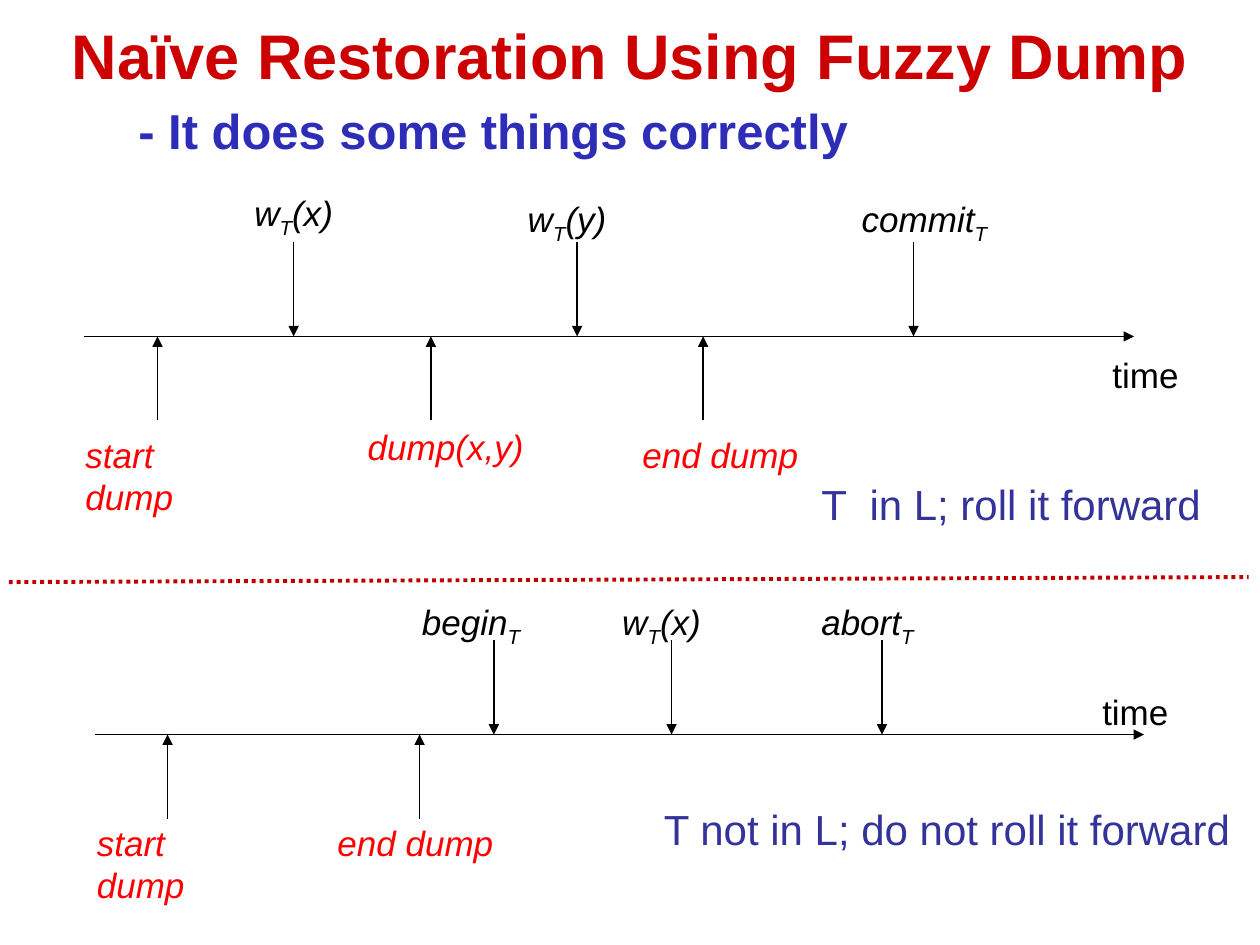
from collections import namedtuple

from lxml import etree
from pptx import Presentation
from pptx.dml.color import RGBColor
from pptx.enum import dml, shapes, text
from pptx.oxml.ns import qn
from pptx.util import Inches, Pt

BLACK = RGBColor(0x00, 0x00, 0x00)
RED = RGBColor(0xFF, 0x00, 0x00)
TITLE_RED = RGBColor(0xCC, 0x00, 0x00)
DIVIDER_RED = RGBColor(0xC0, 0x00, 0x00)
SUBTITLE_BLUE = RGBColor(0x2D, 0x2D, 0xB7)
NOTE_BLUE = RGBColor(0x33, 0x33, 0x99)

AXIS_DROP = 0.75

Box = namedtuple("Box", "left top width height")
Event = namedtuple("Event", "tick wording x y width")
Dump = namedtuple("Dump", "tick wording x y width margin", defaults=[0.1])
Label = namedtuple("Label", "wording x y width")


def add_text(slide, box, pieces, size, color, bold=False, italic=False, wrap=False):
    shape = slide.shapes.add_textbox(*(Inches(value) for value in box))
    frame = shape.text_frame
    frame.word_wrap = wrap
    paragraph = frame.paragraphs[0]
    for index, piece in enumerate(pieces):
        run = paragraph.add_run()
        run.text = piece
        if index == 1:
            run._r.get_or_add_rPr().set("baseline", "-25000")
    font = paragraph.font
    font.name = "Arial"
    font.size = Pt(size)
    font.color.rgb = color
    font.bold = bold
    font.italic = italic
    return frame


def add_line(slide, start, end, color=BLACK, width=0.75, arrow=True):
    points = [Inches(value) for value in (*start, *end)]
    connector = slide.shapes.add_connector(shapes.MSO_CONNECTOR.STRAIGHT, *points)
    connector.line.color.rgb = color
    connector.line.width = Pt(width)
    properties = connector._element.spPr
    if arrow:
        etree.SubElement(properties.find(qn("a:ln")), qn("a:tailEnd"), type="triangle")
    etree.SubElement(properties, qn("a:effectLst"))
    return connector


def add_heading(slide, box):
    title_box = Box(box.left, box.top, box.width, 0.87)
    frame = add_text(slide, title_box, ["Naïve Restoration Using Fuzzy Dump"],
                     36, TITLE_RED, bold=True, wrap=True)
    frame.vertical_anchor = text.MSO_ANCHOR.MIDDLE
    frame.paragraphs[0].alignment = text.PP_ALIGN.CENTER
    subtitle_box = Box(box.left + 1, box.top + 0.75, 5.84, 0.57)
    add_text(slide, subtitle_box, ["- It does some things correctly"],
             28, SUBTITLE_BLUE, bold=True)


def add_timeline(slide, box, events, dumps, time, note):
    axis = box.top + AXIS_DROP

    def label_box(label, height=0.43):
        return Box(box.left + label.x, box.top + label.y, label.width, height)

    add_line(slide, (box.left, axis), (box.left + box.width, axis))
    for event in events:
        x = box.left + event.tick
        add_line(slide, (x, box.top), (x, axis))
        add_text(slide, label_box(event), event.wording, 20, BLACK, italic=True)
    for dump in dumps:
        x = box.left + dump.tick
        add_line(slide, (x, box.top + box.height), (x, axis))
        frame = add_text(slide, label_box(dump), [dump.wording], 20, RED,
                         italic=True, wrap=True)
        frame.margin_right = Inches(dump.margin)
    add_text(slide, label_box(time), [time.wording], 20, BLACK)
    add_text(slide, label_box(note, 0.5), [note.wording], 24, NOTE_BLUE)


def add_divider(slide, box):
    divider = add_line(slide, (box.left, box.top + box.height),
                       (box.left + box.width, box.top), DIVIDER_RED, 2.25, arrow=False)
    divider.line.dash_style = dml.MSO_LINE.ROUND_DOT


def main():
    presentation = Presentation()
    presentation.slide_width = Inches(10)
    presentation.slide_height = Inches(7.5)
    slide = presentation.slides.add_slide(presentation.slide_layouts[6])

    add_heading(slide, Box(0, 0, 10, 1.32))
    add_timeline(
        slide, Box(0.67, 1.92, 8.33, 1.41),
        events=[
            Event(1.66, ["w", "T", "(x)"], 1.25, -0.45, 0.84),
            Event(3.91, ["w", "T", "(y)"], 3.42, -0.4, 0.84),
            Event(6.58, ["commit", "T"], 6.07, -0.4, 1.2),
        ],
        dumps=[
            Dump(0.58, "start dump", -0.09, 1.47, 1.51, 0.5),
            Dump(2.75, "dump(x,y)", 2.15, 1.41, 1.85),
            Dump(4.91, "end dump", 4.33, 1.47, 1.44, 0),
        ],
        time=Label("time", 8.06, 0.84, 0.73),
        note=Label("T  in L; roll it forward", 5.75, 1.83, 3.22),
    )
    add_divider(slide, Box(0.07, 4.58, 9.84, 0.04))
    add_timeline(
        slide, Box(0.75, 5.08, 8.33, 1.42),
        events=[
            Event(3.17, ["begin", "T"], 2.5, -0.36, 0.99),
            Event(4.58, ["w", "T", "(x)"], 4.09, -0.36, 0.84),
            Event(6.25, ["abort", "T"], 5.67, -0.36, 0.94),
        ],
        dumps=[
            Dump(0.58, "start dump", -0.08, 1.39, 1.51, 0.5),
            Dump(2.58, "end dump", 1.83, 1.39, 1.44, 0),
        ],
        time=Label("time", 7.9, 0.35, 0.73),
        note=Label("T not in L; do not roll it forward", 4.42, 1.25, 4.7),
    )
    presentation.save("out.pptx")


if __name__ == "__main__":
    main()
